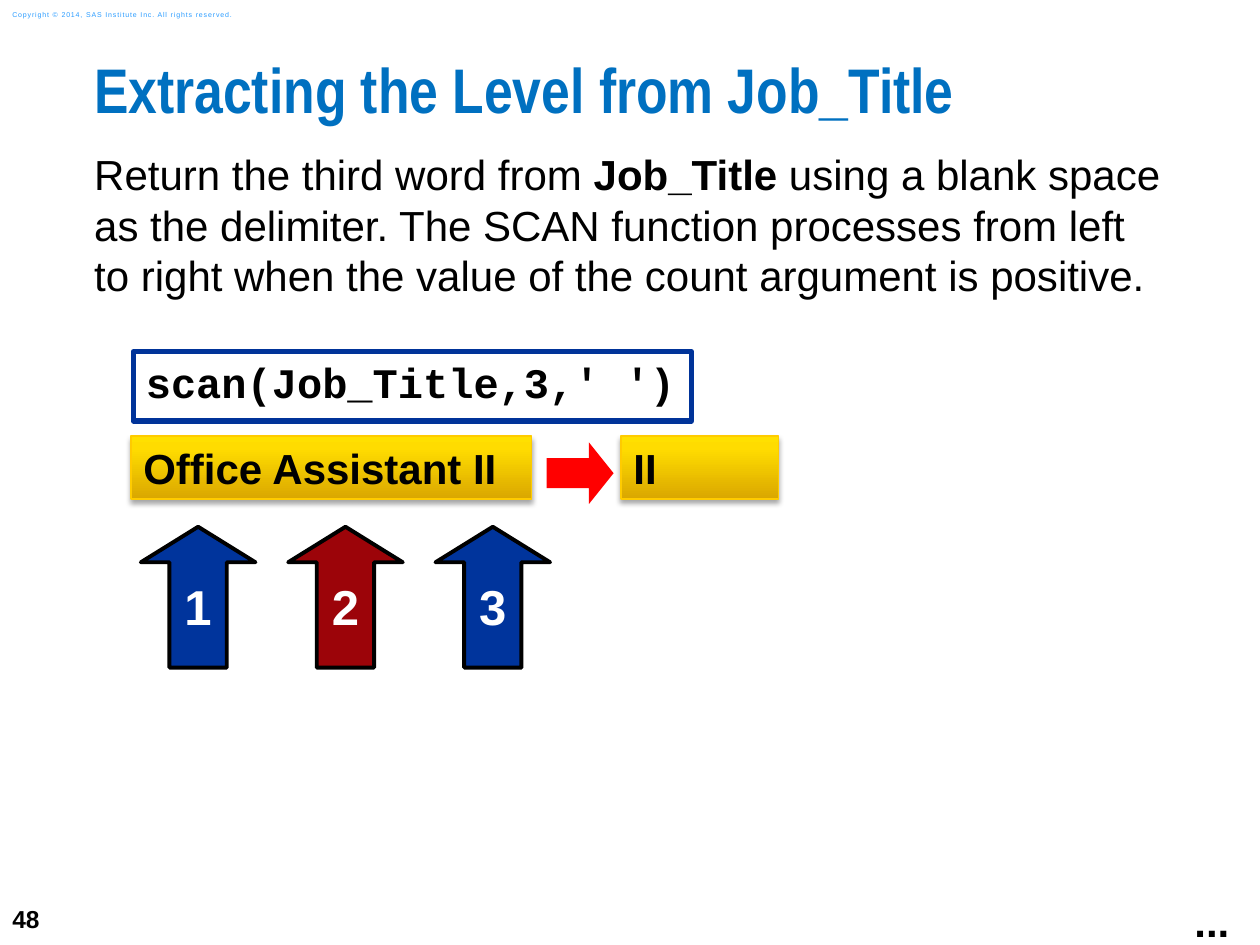
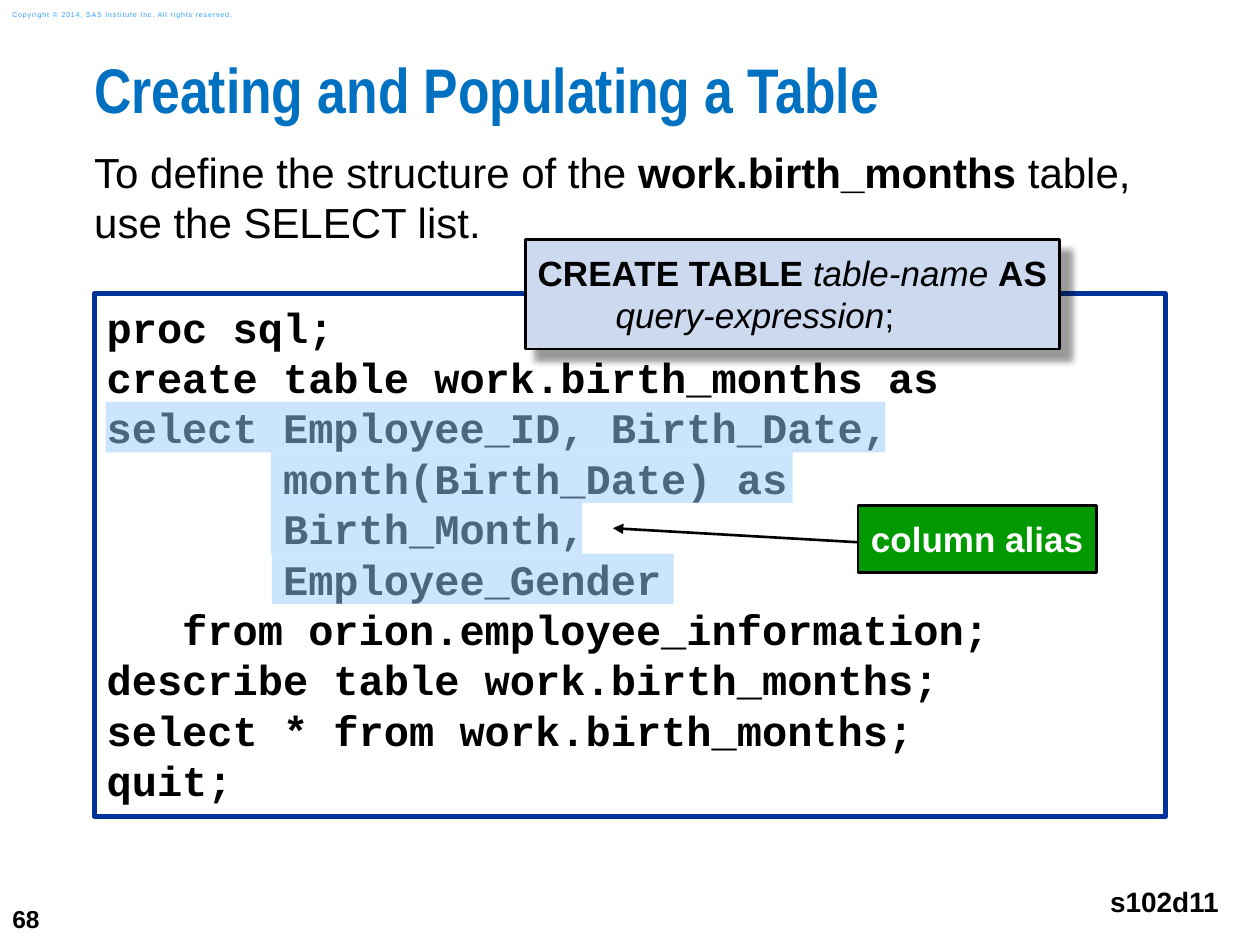
from copy import deepcopy

from lxml import etree
from pptx import Presentation
from pptx.dml.color import RGBColor
from pptx.enum.shapes import MSO_SHAPE
from pptx.enum.text import MSO_ANCHOR, PP_ALIGN
from pptx.oxml.ns import qn
from pptx.util import Cm, Pt

RECT, UP, RIGHT = MSO_SHAPE.RECTANGLE, MSO_SHAPE.UP_ARROW, MSO_SHAPE.RIGHT_ARROW
CALLOUT = MSO_SHAPE.LINE_CALLOUT_1
TOP, MIDDLE = MSO_ANCHOR.TOP, MSO_ANCHOR.MIDDLE
LEFT, CENTER, ALIGN_RIGHT = PP_ALIGN.LEFT, PP_ALIGN.CENTER, PP_ALIGN.RIGHT

BLACK, WHITE = "000000", "FFFFFF"
TITLE_BLUE, COPYRIGHT_BLUE, FRAME_BLUE = "0070C0", "2A9CFF", "003399"
ARROW_BLUE, ARROW_RED, RED = "00349C", "9C0409", "FF0000"
HIGHLIGHT, PALE_BLUE, GREEN, GOLD_LINE = "99CCFF", "CDD9EF", "009900", "FFCB00"
GOLD = [(0, "DAA700"), (0.8, "FFDC00"), (1, "FFE000")]
SANS, NARROW, MONO = "Arial", "Arial Narrow", "Courier New"
TIGHT = (0, 0, 0, 0)
EVEN = (0.25, 0.25, 0.25, 0.25)

rgb = RGBColor.from_string


def write(sp, text, size=24, font=SANS, color=BLACK, bold=True, align=LEFT,
          anchor=TOP, insets=(0.25, 0.13, 0.25, 0.13), wrap=True, leading=None):
    """text: a string, or a list of paragraphs made of (text, style) runs."""
    tf = sp.text_frame
    tf.word_wrap = wrap
    tf.vertical_anchor = anchor
    tf.margin_left, tf.margin_top, tf.margin_right, tf.margin_bottom = map(Cm, insets)
    if isinstance(text, str):
        text = [[(line, "b" if bold else "")] for line in text.split("\n")]
    for i, runs in enumerate(text):
        p = tf.add_paragraph() if i else tf.paragraphs[0]
        p.alignment = align
        if leading:
            p.line_spacing = leading
        for words, style in runs:
            if words == "\v":
                p.add_line_break()
                continue
            r = p.add_run()
            r.text = words
            r.font.name, r.font.size = font, Pt(size)
            r.font.color.rgb = rgb(color)
            r.font.bold, r.font.italic = "b" in style, "i" in style
    return tf


def shape(s, kind, x, y, w, h, fill, line=None, width=0.75, adj=(), alpha=None,
          shadow=None):
    """fill: a colour or gradient stops; shadow: alpha %, blur pt, distance pt, angle."""
    sp = s.shapes.add_shape(kind, Cm(x), Cm(y), Cm(w), Cm(h))
    sp.shadow.inherit = False
    for i, value in enumerate(adj):
        sp.adjustments[i] = value
    if isinstance(fill, str):
        sp.fill.solid()
        sp.fill.fore_color.rgb = rgb(fill)
    else:
        sp.fill.gradient()
        sp.fill.gradient_angle = 90
        stops = sp.element.spPr.find(".//" + qn("a:gsLst"))
        stops.append(deepcopy(stops[-1]))
        for stop, (position, color) in zip(sp.fill.gradient_stops, fill):
            stop.position, stop.color.rgb = position, rgb(color)
    if alpha:
        clr = sp.element.spPr.find(".//" + qn("a:srgbClr"))
        etree.SubElement(clr, qn("a:alpha"), val=str(alpha * 1000))
    if line:
        sp.line.color.rgb = rgb(line)
        sp.line.width = Pt(width)
    else:
        sp.line.fill.background()
    if shadow:
        opacity, blur, dist, angle = shadow
        effects = sp.element.spPr.find(qn("a:effectLst"))
        outer = etree.SubElement(effects, qn("a:outerShdw"), blurRad=str(Pt(blur)),
                                 dist=str(Pt(dist)), dir=str(angle * 60000),
                                 algn="tl", rotWithShape="0")
        clr = etree.SubElement(outer, qn("a:srgbClr"), val=BLACK)
        etree.SubElement(clr, qn("a:alpha"), val=str(opacity * 1000))
    return sp


prs = Presentation()
prs.slide_width, prs.slide_height = Cm(25.4), Cm(19.05)

# Shared parts: page number, copyright line, title and body text
pages = [
    ("48", "Extracting the Level from Job_Title", 3,
     [("Return the third word from ", ""), ("Job_Title", "b"),
      (" using a blank space as the delimiter. The SCAN function processes from left ", ""),
      ("\v", ""),
      ("to right when the value of the count argument is positive.", "")]),
    ("68", "Creating and Populating a Table", 2.95,
     [("To define the structure of the ", ""), ("work.birth_months ", "b"),
      ("table, use the SELECT list.", "")]),
]
for number, title, body_top, body in pages:
    s = prs.slides.add_slide(prs.slide_layouts[6])
    tb = s.shapes.add_textbox(0, Cm(17.98), Cm(1.47), Cm(1.07))
    write(tb, number, size=14, anchor=MIDDLE)
    tb = s.shapes.add_textbox(0, Cm(0.08), Cm(5.36), Cm(0.43))
    tf = write(tb, "Copyright © 2014, SAS Institute Inc. All rights reserved.",
               size=4, color=COPYRIGHT_BLUE, bold=False, anchor=MIDDLE)
    tf.paragraphs[0].runs[0].font._element.set("spc", "50")
    tb = s.shapes.add_textbox(Cm(1.9), Cm(1.27), Cm(23.5), Cm(1.88))
    write(tb, title, size=36, font=NARROW, color=TITLE_BLUE, insets=TIGHT, leading=0.83)
    tb = s.shapes.add_textbox(Cm(1.9), Cm(body_top), Cm(21.79), Cm(11.85))
    write(tb, [body], insets=TIGHT, leading=Pt(28.8))
scan_slide, table_slide = prs.slides

# Slide 1: numbered arrows under the words
s = scan_slide
for i, color in enumerate([ARROW_BLUE, ARROW_RED, ARROW_BLUE]):
    sp = shape(s, UP, 2.84 + i * 2.97, 10.62, 2.31, 2.84, color, BLACK, 2.25,
               adj=(0.5, 0.31))
    write(sp, str(i + 1), size=28, color=WHITE, align=CENTER, anchor=MIDDLE, insets=TIGHT)

# Function call, its input and its result
sp = shape(s, RECT, 2.69, 7.09, 11.25, 1.4, WHITE, FRAME_BLUE, 3)
write(sp, "scan(Job_Title,3,' ')", font=MONO, insets=EVEN, leading=0.85)
shape(s, RIGHT, 11.02, 8.92, 1.35, 1.24, RED, adj=(0.49, 0.4))
for x, w, value in [(2.64, 8.08, "Office Assistant II"), (12.52, 3.18, "II")]:
    sp = shape(s, RECT, x, 8.79, w, 1.27, GOLD, GOLD_LINE, shadow=(35, 3.1, 1.8, 90))
    write(sp, value)
tb = s.shapes.add_textbox(Cm(23.83), Cm(17.93), Cm(1.22), Cm(1.3))
write(tb, "...", wrap=False)

# Slide 2: program code
s = table_slide
code = """proc sql;
create table work.birth_months as
select Employee_ID, Birth_Date,
       month(Birth_Date) as
       Birth_Month,
       Employee_Gender
   from orion.employee_information;
describe table work.birth_months;
select * from work.birth_months;
quit;"""
sp = shape(s, RECT, 1.9, 5.92, 21.59, 10.54, WHITE, FRAME_BLUE, 3)
write(sp, code, font=MONO, insets=(0.25, 0.15, 0, 0.15), leading=Pt(28.8))

# Highlight over each line of the SELECT list
for i, (x, w) in enumerate([(2.13, 15.72), (5.46, 10.52), (5.46, 6.27), (5.48, 8.1)]):
    shape(s, RECT, x, 8.1 + i * 1.02, w, 1.02, HIGHLIGHT, alpha=50)

# Program name
sp = shape(s, RECT, 22.1, 17.58, 2.72, 1.19, WHITE)
write(sp, "s102d11", size=16, align=ALIGN_RIGHT, insets=EVEN, wrap=False)

# Syntax box
sp = shape(s, RECT, 10.59, 4.83, 10.77, 2.21, PALE_BLUE, BLACK, 1.5,
           shadow=(40, 4, 8.5, 45))
tf = write(sp, [[("CREATE TABLE ", "b"), ("table-name ", "i"), ("AS", "b")],
                [("query-expression", "i"), (";", "")]],
           size=20, insets=EVEN, wrap=False, leading=Pt(24))
tf.paragraphs[1]._p.get_or_add_pPr().set("marL", str(Cm(1.57)))

# Callout with an arrow to the alias
sp = shape(s, CALLOUT, 17.3, 10.19, 4.8, 1.35, GREEN, BLACK, 1.5,
           adj=(0.55, 0, 0.34, -1.03))
etree.SubElement(sp.element.spPr.find(qn("a:ln")), qn("a:tailEnd"), type="triangle")
write(sp, "column alias", size=20, color=WHITE, align=CENTER, anchor=MIDDLE,
      insets=EVEN, wrap=False)

prs.save("out.pptx")
